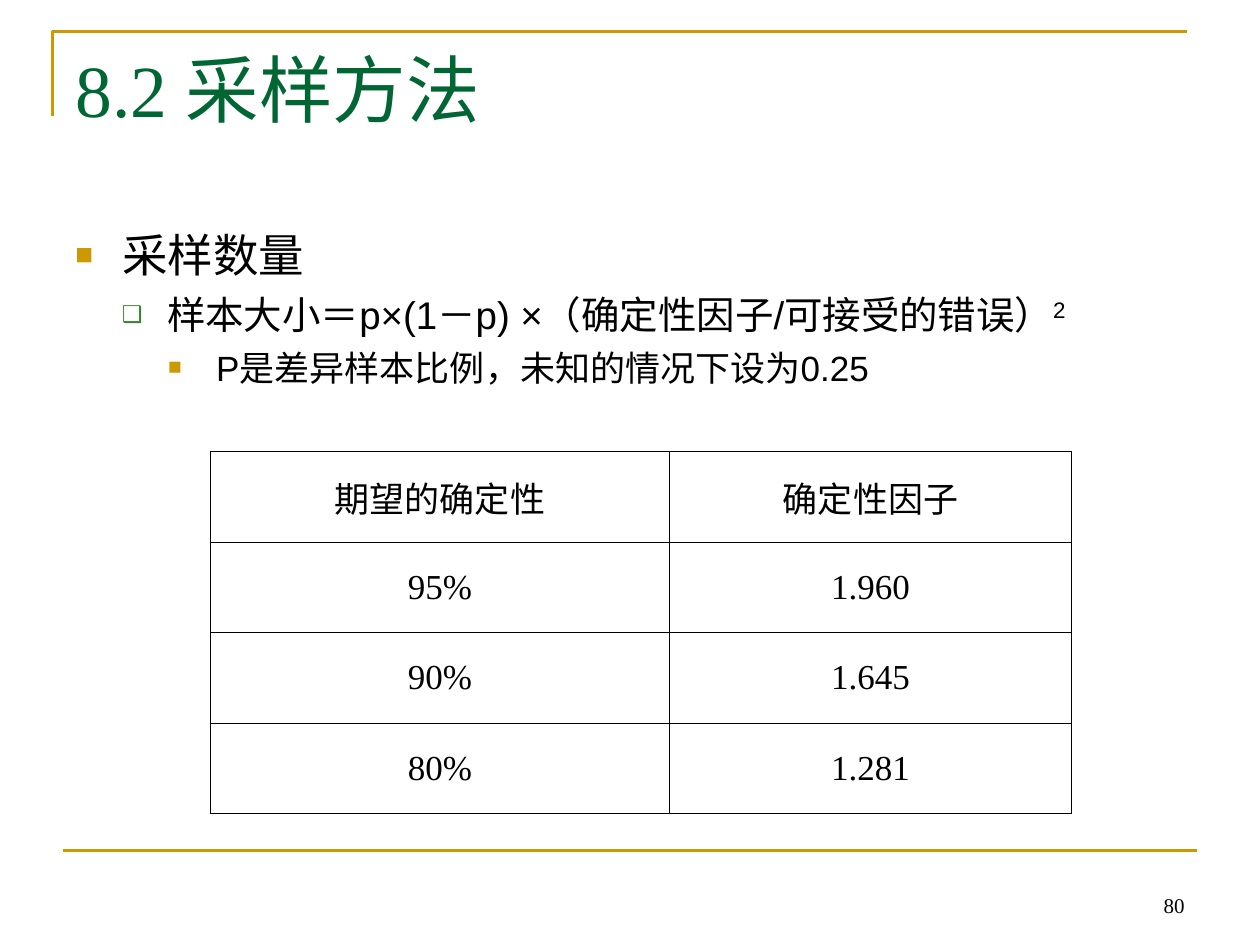
from pptx import Presentation
from pptx.dml.color import RGBColor
from pptx.enum.shapes import MSO_CONNECTOR
from pptx.enum.text import MSO_ANCHOR, PP_ALIGN
from pptx.oxml.ns import qn
from pptx.util import Cm, Pt
from lxml import etree

STRAIGHT = MSO_CONNECTOR.STRAIGHT
TOP, MIDDLE, BOTTOM = MSO_ANCHOR.TOP, MSO_ANCHOR.MIDDLE, MSO_ANCHOR.BOTTOM
LEFT, CENTER, RIGHT = PP_ALIGN.LEFT, PP_ALIGN.CENTER, PP_ALIGN.RIGHT

COLORS = {"gold": "CC9900", "title": "006633", "green": "3B812F", "text": "000000"}
SERIF, SANS = "Times New Roman", "Arial"

# text, size, left margin (cm), hanging indent (cm), space before, bullet, colour, bullet %
OUTLINE = [
    ("采样数量", 26, 0.95, 0.95, 0, "■", "gold", 65),
    ("样本大小＝p×(1－p) ×（确定性因子/可接受的错误）", 22, 1.85, 0.91, 5.5, "❑", "green", 60),
    ("P是差异样本比例，未知的情况下设为0.25", 20, 2.84, 0.97, 5, "■", "gold", 65),
]
FORMULA_LEVEL = 1
FACTORS = [
    ("期望的确定性", "确定性因子"),
    ("95%", "1.960"),
    ("90%", "1.645"),
    ("80%", "1.281"),
]


def rgb(name):
    return RGBColor.from_string(COLORS[name])


def style(font, size, name, color="text"):
    font.size, font.name = Pt(size), name
    font.color.rgb = rgb(color)


def style_line(line):
    line.color.rgb = rgb("gold")
    line.width = Pt(1.5)


def add_corner_rule(s, x, y, w, h):
    """Draw the rule down the left side and along the top of the title."""
    builder = s.shapes.build_freeform(Cm(x), Cm(y + h))
    builder.add_line_segments([(Cm(x), Cm(y)), (Cm(x + w), Cm(y))], close=False)
    sp = builder.convert_to_shape()
    sp.fill.background()
    sp.shadow.inherit = False
    style_line(sp.line)


def add_footer_rule(s, x, y, w):
    rule = s.shapes.add_connector(STRAIGHT, Cm(x), Cm(y), Cm(x + w), Cm(y))
    style_line(rule.line)
    etree.SubElement(rule._element.spPr, qn("a:effectLst"))


def add_text_frame(s, x, y, w, h, anchor=TOP):
    tf = s.shapes.add_textbox(Cm(x), Cm(y), Cm(w), Cm(h)).text_frame
    tf.word_wrap = True
    tf.vertical_anchor = anchor
    return tf


def add_label(s, box, text, size, color="text", align=LEFT, anchor=TOP):
    p = add_text_frame(s, *box, anchor=anchor).paragraphs[0]
    p.text = text
    p.alignment = align
    style(p.runs[0].font, size, SERIF, color)


def set_bullet(p, char, color, percent, margin, hanging):
    pPr = p._p.get_or_add_pPr()
    pPr.set("marL", str(Cm(margin)))
    pPr.set("indent", str(-Cm(hanging)))
    bu_clr = etree.SubElement(pPr, qn("a:buClr"))
    etree.SubElement(bu_clr, qn("a:srgbClr"), val=COLORS[color])
    etree.SubElement(pPr, qn("a:buSzPct"), val=str(percent * 1000))
    etree.SubElement(pPr, qn("a:buFont"), typeface=SANS)
    etree.SubElement(pPr, qn("a:buChar"), char=char)


def add_outline(s, x, y, w, h):
    tf = add_text_frame(s, x, y, w, h)
    for level, (text, size, margin, hanging, before, char, color, pct) in enumerate(OUTLINE):
        p = tf.paragraphs[0] if level == 0 else tf.add_paragraph()
        p.text = text
        p.level = level
        set_bullet(p, char, color, pct, margin, hanging)
        p.space_before = Pt(before)
        if level == FORMULA_LEVEL:
            r = p.add_run()
            r.text = "2"
            r._r.get_or_add_rPr().set("baseline", "30000")
        for r in p.runs:
            style(r.font, size, SANS)


def set_borders(cell):
    tcPr = cell._tc.get_or_add_tcPr()
    for i, side in enumerate(("lnL", "lnR", "lnT", "lnB")):
        ln = etree.Element(qn("a:" + side), w=str(Pt(0.45)))
        fill = etree.SubElement(ln, qn("a:solidFill"))
        etree.SubElement(fill, qn("a:srgbClr"), val=COLORS["text"])
        tcPr.insert(i, ln)


def add_factor_table(s, x, y, w, h, first_col):
    table = s.shapes.add_table(len(FACTORS), 2, Cm(x), Cm(y), Cm(w), Cm(h)).table
    table.first_row = table.horz_banding = False
    table.columns[0].width = Cm(first_col)
    table.columns[1].width = Cm(w - first_col)
    for i, row in enumerate(FACTORS):
        for j, text in enumerate(row):
            cell = table.cell(i, j)
            cell.fill.background()
            cell.vertical_anchor = MIDDLE
            set_borders(cell)
            p = cell.text_frame.paragraphs[0]
            p.text = text
            p.alignment = CENTER
            style(p.runs[0].font, 20, SERIF)


def main():
    prs = Presentation()
    prs.slide_width, prs.slide_height = Cm(25.4), Cm(19.05)
    s = prs.slides.add_slide(prs.slide_layouts[6])
    add_corner_rule(s, 1.06, 0.64, 22.86, 1.69)
    add_footer_rule(s, 1.27, 17.15, 22.86)
    add_label(s, (1.27, 0.76, 22.86, 3.18), "8.2 采样方法", 42, "title")
    add_outline(s, 1.27, 4.45, 23.06, 12.57)
    add_factor_table(s, 4.24, 9.1, 17.36, 7.3, first_col=9.26)
    add_label(s, (18.2, 17.36, 5.93, 1.27), "80", 12, align=RIGHT, anchor=BOTTOM)
    prs.save("out.pptx")


if __name__ == "__main__":
    main()
